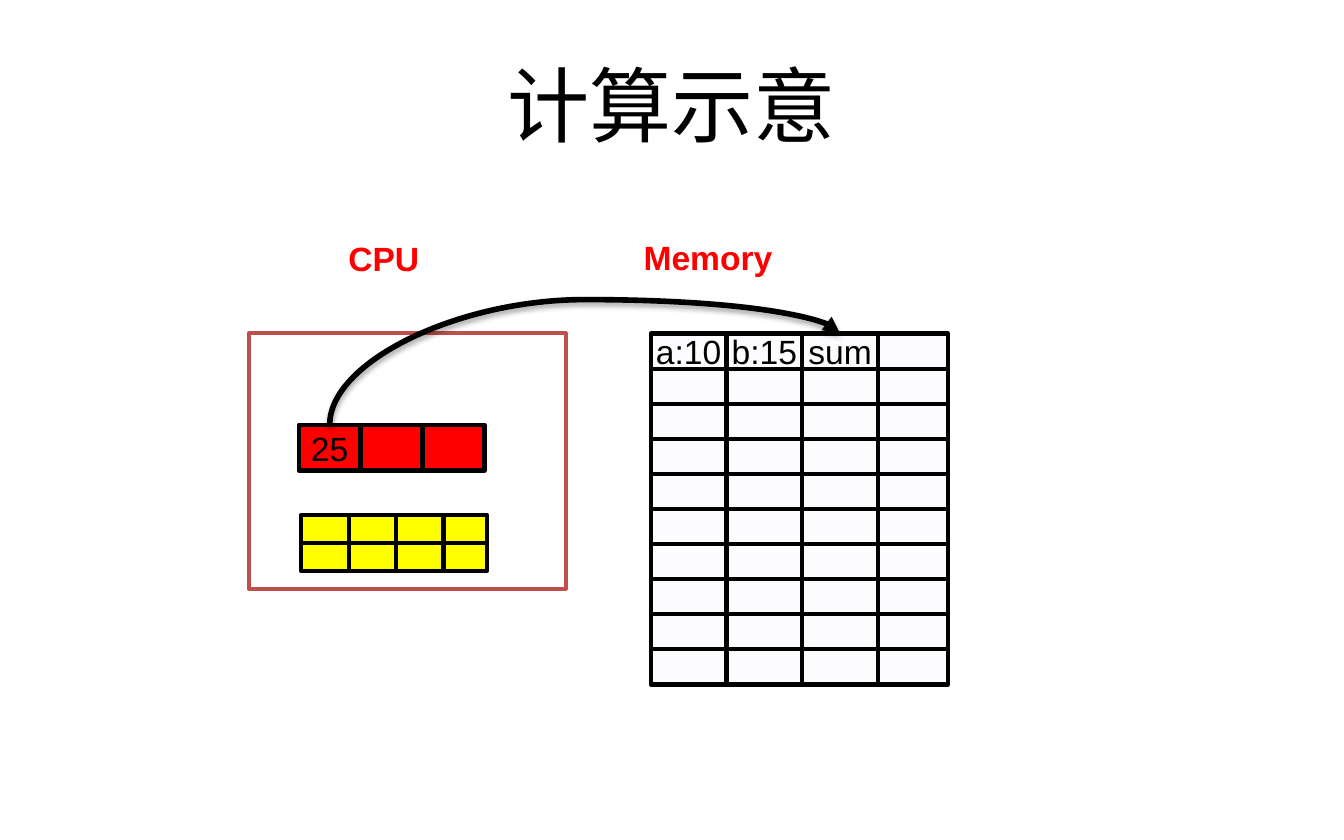
from dataclasses import dataclass
from lxml.etree import SubElement
from pptx import Presentation
from pptx.dml.color import RGBColor
from pptx.enum.shapes import MSO_CONNECTOR, MSO_SHAPE
from pptx.enum.text import MSO_ANCHOR, PP_ALIGN
from pptx.oxml import parse_xml
from pptx.oxml.ns import nsdecls, qn
from pptx.util import Pt


@dataclass(frozen=True)
class Theme:
    """Colours, fonts and sizes of the slide."""
    ink: str = "000000"
    accent: str = "FF0000"
    cache: str = "FFFF00"
    memory: str = "FCFCFF"
    frame: str = "C0504D"
    title_font: str = "Calibri"
    body_font: str = "Arial"
    title_size: float = 44
    body_size: float = 18
    cell_line: float = 2.25
    frame_line: float = 2
    arrow_line: float = 3


THEME = Theme()
TITLE = "计算示意"
HEADINGS = [("CPU", 179.5, 124), ("Memory", 337.7, 123.2)]
HEADING_SIZE = (95, 29)
CPU_FRAME = (133.2, 178.6, 170, 136.8)
REGISTERS = dict(left=160, top=227.5, widths=[33.2] * 3, row_height=24.6,
                 rows=1, fill=THEME.accent, labels=["25"])
CACHE = dict(left=161.4, top=275.8, widths=[25.4] * 3 + [23.2], row_height=15.1,
             rows=2, fill=THEME.cache, labels=[])
MEMORY = dict(left=348.6, top=178.7, widths=[40.6] * 3 + [37.5], row_height=18.8,
              rows=10, fill=THEME.memory, labels=["a:10", "b:15", "sum"])
ARROW_START = (176.6, 227.5)
ARROW_END = (450, 178.7)
ARROW_BEND = 137200


def write_text(shape, text, font=THEME.body_font, size=THEME.body_size,
               color=THEME.ink, bold=False, align=PP_ALIGN.LEFT, wrap=True,
               anchor=MSO_ANCHOR.TOP):
    """Put formatted text into a shape."""
    frame = shape.text_frame
    frame.word_wrap = wrap
    frame.vertical_anchor = anchor
    paragraph = frame.paragraphs[0]
    paragraph.alignment = align
    run = paragraph.add_run()
    run.text = text
    run.font.name = font
    run.font.size = Pt(size)
    run.font.bold = bold
    run.font.color.rgb = RGBColor.from_string(color)


def add_box(shapes, left, top, width, height, line, line_width, fill=None):
    """Add an outlined rectangle, filled or clear."""
    box = shapes.add_shape(MSO_SHAPE.RECTANGLE, Pt(left), Pt(top), Pt(width), Pt(height))
    box.shadow.inherit = False
    box.line.color.rgb = RGBColor.from_string(line)
    box.line.width = Pt(line_width)
    if fill:
        box.fill.solid()
        box.fill.fore_color.rgb = RGBColor.from_string(fill)
    else:
        box.fill.background()
    return box


def add_grid(slide, left, top, widths, row_height, rows, fill, labels):
    """Add a group of cells, with labels along its first row."""
    cells = slide.shapes.add_group_shape().shapes
    for row in range(rows):
        for column, width in enumerate(widths):
            cell = add_box(cells, left + sum(widths[:column]), top + row * row_height,
                           width, row_height, THEME.ink, THEME.cell_line, fill)
            if row == 0 and column < len(labels):
                write_text(cell, labels[column], align=PP_ALIGN.CENTER, wrap=False,
                           anchor=MSO_ANCHOR.MIDDLE)


def add_curved_arrow(slide, start, end):
    """Add a curve that leaves upward and comes down on its end."""
    center_x, center_y = (start[0] + end[0]) / 2, (start[1] + end[1]) / 2
    half_width, half_height = (start[1] - end[1]) / 2, (end[0] - start[0]) / 2
    arrow = slide.shapes.add_connector(
        MSO_CONNECTOR.CURVE,
        Pt(center_x + half_width), Pt(center_y + half_height),
        Pt(center_x - half_width), Pt(center_y - half_height))
    arrow.line.color.rgb = RGBColor.from_string(THEME.ink)
    arrow.line.width = Pt(THEME.arrow_line)
    properties = arrow._element.spPr
    properties.find(qn("a:xfrm")).set("rot", str(90 * 60000))
    adjustments = properties.find(qn("a:prstGeom")).get_or_add_avLst()
    SubElement(adjustments, qn("a:gd"), name="adj1", fmla=f"val {ARROW_BEND}")
    SubElement(properties.find(qn("a:ln")), qn("a:tailEnd"), type="triangle")
    properties.append(parse_xml(
        f'<a:effectLst {nsdecls("a")}><a:outerShdw blurRad="{Pt(3.1)}" '
        f'dist="{Pt(1.8)}" dir="5400000" rotWithShape="0"><a:srgbClr val="{THEME.ink}">'
        '<a:alpha val="35000"/></a:srgbClr></a:outerShdw></a:effectLst>'))


def build():
    """Build and save the slide."""
    presentation = Presentation()
    presentation.slide_width, presentation.slide_height = Pt(720), Pt(450)
    slide = presentation.slides.add_slide(presentation.slide_layouts[5])
    title = slide.shapes.title
    title.left, title.top, title.width, title.height = Pt(36), Pt(18), Pt(648), Pt(75)
    write_text(title, TITLE, font=THEME.title_font, size=THEME.title_size,
               align=PP_ALIGN.CENTER, anchor=MSO_ANCHOR.MIDDLE)
    add_box(slide.shapes, *CPU_FRAME, THEME.frame, THEME.frame_line)
    for grid in (REGISTERS, CACHE, MEMORY):
        add_grid(slide, **grid)
    for text, left, top in HEADINGS:
        heading = slide.shapes.add_textbox(Pt(left), Pt(top), *map(Pt, HEADING_SIZE))
        write_text(heading, text, color=THEME.accent, bold=True)
    add_curved_arrow(slide, ARROW_START, ARROW_END)
    presentation.save("out.pptx")


build()
